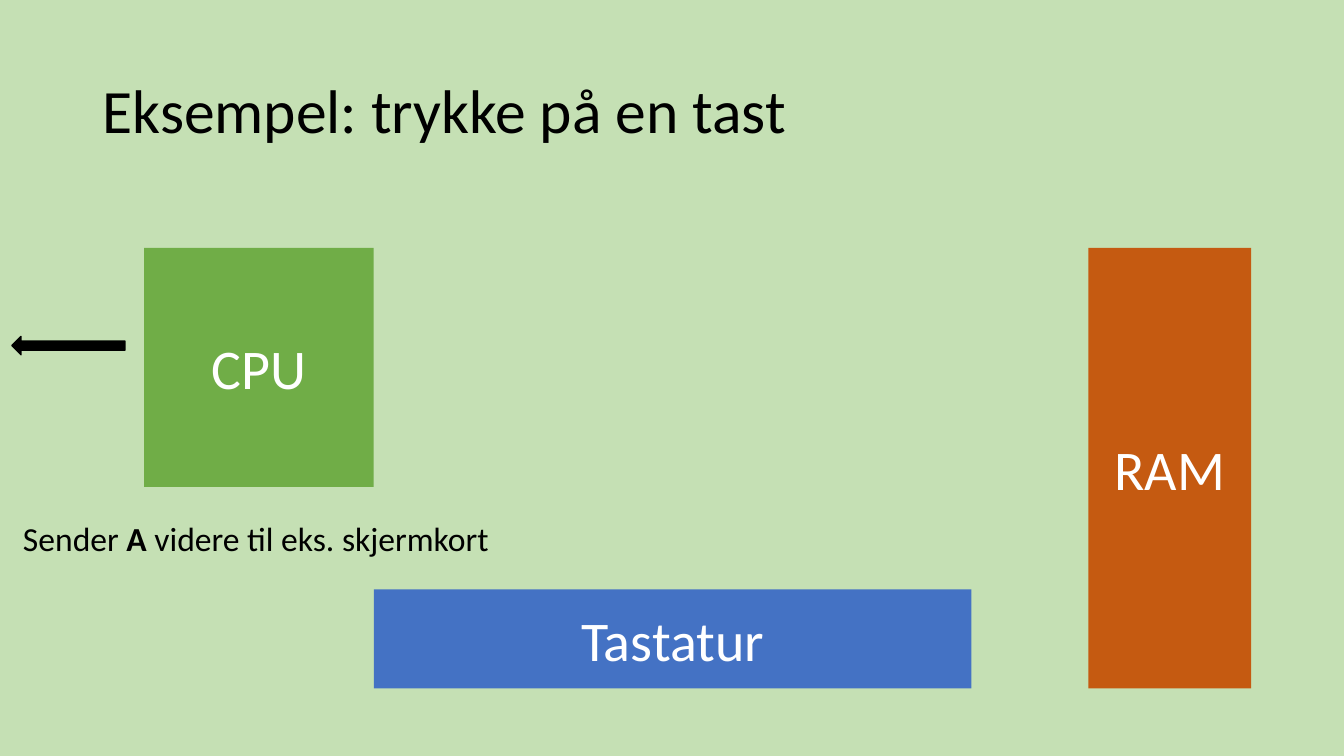
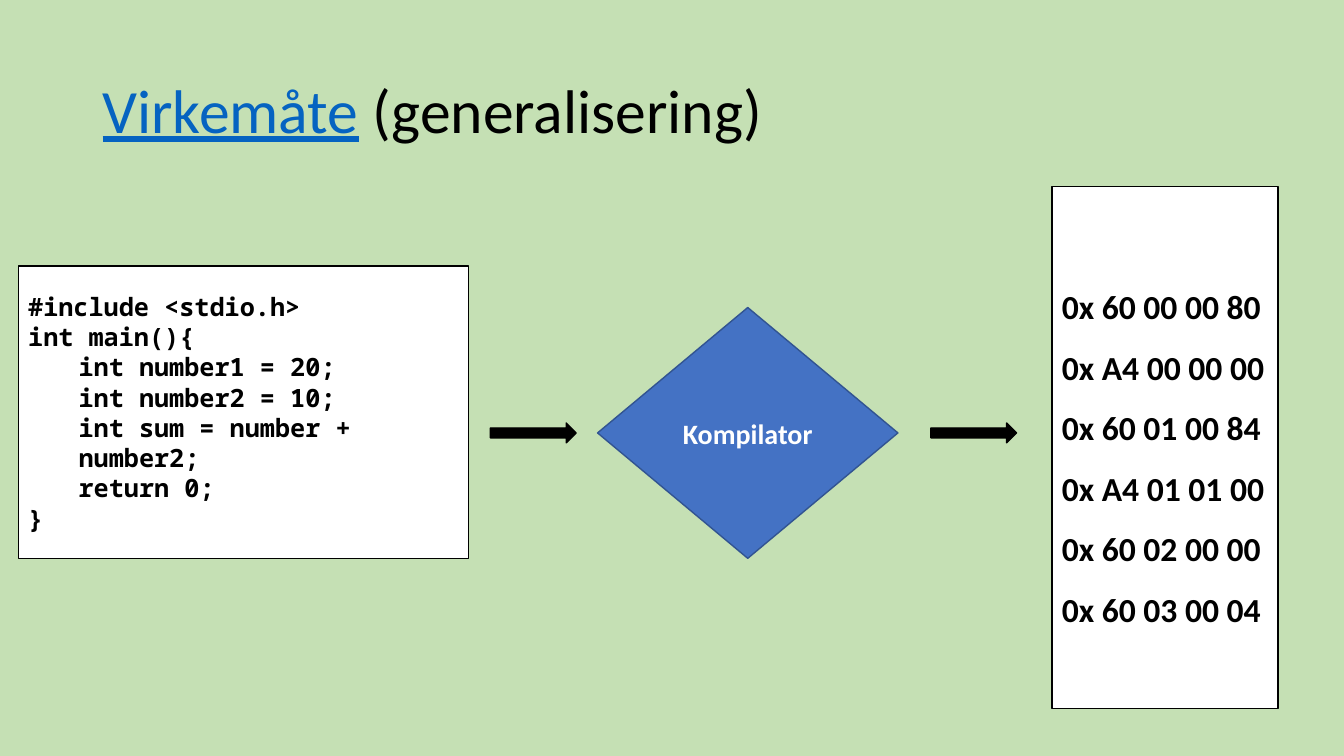
from pptx import Presentation
from pptx.dml.color import RGBColor
from pptx.enum.shapes import MSO_SHAPE
from pptx.enum.text import MSO_ANCHOR, MSO_AUTO_SIZE, PP_ALIGN
from pptx.util import Cm, Pt

RECT, DIAMOND = MSO_SHAPE.RECTANGLE, MSO_SHAPE.DIAMOND
LEFT_ARROW, RIGHT_ARROW = MSO_SHAPE.LEFT_ARROW, MSO_SHAPE.RIGHT_ARROW
MIDDLE, NO_FIT = MSO_ANCHOR.MIDDLE, MSO_AUTO_SIZE.NONE
LEFT, CENTER = PP_ALIGN.LEFT, PP_ALIGN.CENTER

SANS, MONO = "Calibri", "Noto Sans Mono"
PAPER, WHITE, BLACK = "C5E0B4", "FFFFFF", "000000"
GREEN, BLUE, RUST = "70AD47", "4472C4", "C55A11"
NAVY, LINK = "325491", "0563C1"

CODE = [  # level, text
    (0, "#include <stdio.h>"),
    (0, "int main(){"),
    (1, "int number1 = 20;"),
    (1, "int number2 = 10;"),
    (1, "int sum = number + number2;"),
    (1, "return 0;"),
    (0, "}"),
]
WORDS = [(0, "0x " + word) for word in (
    "60 00 00 80", "A4 00 00 00", "60 01 00 84",
    "A4 01 01 00", "60 02 00 00", "60 03 00 04")]


def rgb(code):
    return RGBColor.from_string(code)


def style(run, size, color=BLACK, bold=False, face=SANS):
    font = run.font
    font.name, font.size, font.bold = face, Pt(size), bold
    font.color.rgb = rgb(color)


def block(slide, kind, box, fill, line=None):
    """Add a flat preset shape; box is left, top, width, height in cm."""
    shape = slide.shapes.add_shape(kind, *map(Cm, box))
    shape.shadow.inherit = False
    shape.fill.solid()
    shape.fill.fore_color.rgb = rgb(fill)
    if line:
        shape.line.color.rgb = rgb(line)
        shape.line.width = Pt(1)
    else:
        shape.line.fill.background()
    return shape


def label(shape, text, size, bold=False):
    frame = shape.text_frame
    frame.text = text
    frame.vertical_anchor = MIDDLE
    para = frame.paragraphs[0]
    para.alignment = CENTER
    style(para.runs[0], size, WHITE, bold)


def panel(slide, box, lines, size, face, space=1.0):
    """Framed white box with left-aligned bold lines."""
    frame = block(slide, RECT, box, WHITE, BLACK).text_frame
    frame.vertical_anchor = MIDDLE
    frame.word_wrap = True
    for i, (level, text) in enumerate(lines):
        para = frame.add_paragraph() if i else frame.paragraphs[0]
        para.text = text
        para.level = level
        para.alignment = LEFT
        para.line_spacing = space
        style(para.runs[0], size, BLACK, True, face)


def new_slide(deck, parts):
    """Title-only slide; parts are (text, color) pairs of the title."""
    slide = deck.slides.add_slide(deck.slide_layouts[5])
    title = slide.shapes.title
    title.left, title.top = Cm(2.33), Cm(1.01)
    title.width, title.height = Cm(29.21), Cm(3.68)
    frame = title.text_frame
    frame.vertical_anchor = MIDDLE
    frame.auto_size = NO_FIT
    para = frame.paragraphs[0]
    para.alignment = LEFT
    para.line_spacing = 0.9
    for text, color in parts:
        run = para.add_run()
        run.text = text
        style(run, 44, color)
        run.font.underline = color == LINK
    return slide


def machine(slide, x, y, w, h):
    """CPU top left, keyboard at the bottom, RAM along the right side."""
    cpu, ram, keys = 5.79, 4.1, 2.5
    for name, box, fill in (
            ("CPU", (x, y, cpu, 6.02), GREEN),
            ("Tastatur", (x + cpu, y + h - keys, 15.06, keys), BLUE),
            ("RAM", (x + w - ram, y, ram, h), RUST)):
        label(block(slide, RECT, box, fill), name, 40)
    # Output from the CPU
    block(slide, LEFT_ARROW, (x - 3.33, y + 2.23, 2.85, 0.46), BLACK, BLACK)


def note(slide, x, y, w, h):
    frame = slide.shapes.add_textbox(*map(Cm, (x, y, w, h))).text_frame
    frame.word_wrap = False
    para = frame.paragraphs[0]
    for text, bold in (("Sender ", False), ("A ", True),
                       ("videre til eks. skjermkort", False)):
        run = para.add_run()
        run.text = text
        style(run, 24, BLACK, bold)


def flow(slide, x, y, w, h):
    """Source code, compiler and machine code from left to right."""
    panel(slide, (x, y + 2, 11.35, 7.37), CODE, 18, MONO)
    panel(slide, (x + w - 5.7, y, 5.7, h), WORDS, 24, SANS, 1.5)
    top, tall, thin = y + 3.05, 6.32, 0.5
    gem = block(slide, DIAMOND, (x + 14.6, top, 7.57, tall), BLUE, NAVY)
    label(gem, "Kompilator", 20, True)
    for left in (11.9, 23.0):
        box = (x + left, top + (tall - thin) / 2, 2.16, thin)
        block(slide, RIGHT_ARROW, box, BLACK, BLACK)


def main():
    deck = Presentation()
    deck.slide_width, deck.slide_height = Cm(33.87), Cm(19.05)
    back = deck.slide_master.background.fill
    back.solid()
    back.fore_color.rgb = rgb(PAPER)

    slide = new_slide(deck, [("Eksempel: trykke på en tast", BLACK)])
    machine(slide, 3.63, 6.25, 27.9, 11.1)
    note(slide, 0.33, 12.93, 12.37, 1.28)

    slide = new_slide(deck, [("Virkemåte", LINK), (" (generalisering)", BLACK)])
    flow(slide, 0.46, 4.7, 31.75, 13.15)

    deck.save("out.pptx")


if __name__ == "__main__":
    main()
